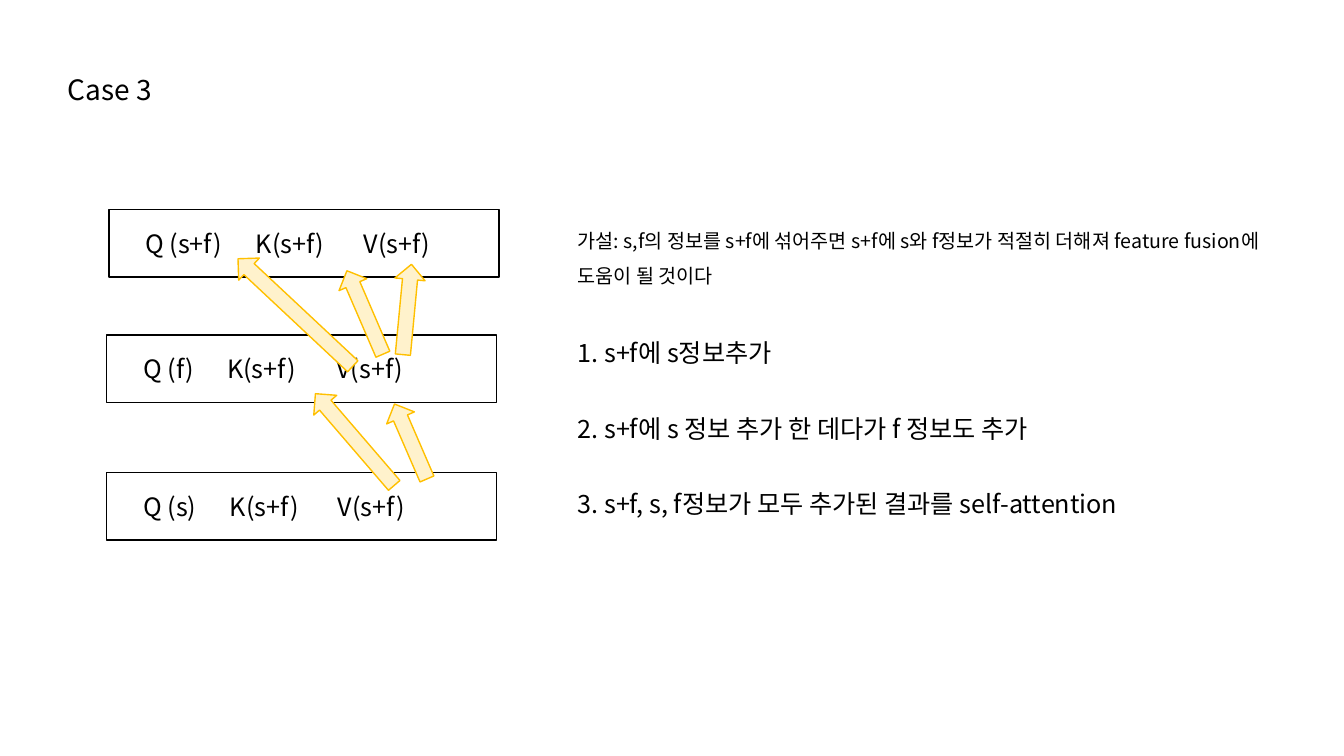
import math

import pptx
import pptx.dml.color
import pptx.enum.shapes
import pptx.enum.text
import pptx.oxml
import pptx.oxml.ns
import pptx.util

Pt = pptx.util.Pt
SHAPES = pptx.enum.shapes.MSO_SHAPE
LEFT = pptx.enum.text.PP_ALIGN.LEFT
ANCHORS = pptx.enum.text.MSO_ANCHOR

# Content
HEADING = "Case 3"
# Stages: terms, left, top, tab stops of the K and V terms
STAGES = [
    (("Q (s)", "K(s+f)", "V(s+f)"), 76.3, 337.7, (62, 139)),
    (("Q (f)", "K(s+f)", "V(s+f)"), 76.3, 239.2, (60, 138)),
    (("Q (s+f)", "K(s+f)", "V(s+f)"), 77.8, 149.8, (79, 156)),
]
# Flows between stages: tail point, tip point
FLOWS = [
    ((305, 342.1), (281.8, 288.6)),
    ((281.6, 346.7), (225.3, 281.2)),
    ((287.8, 253.3), (293.9, 188.8)),
    ((273.5, 253), (247.8, 193.4)),
    ((252, 261.6), (170, 184.8)),
]
# Explanation: text, size, line spacing, space before
EXPLANATION = [
    ("가설: s,f의 정보를 s+f에 섞어주면 s+f에 s와 f정보가 적절히 더해져 "
     "feature fusion에 도움이 될 것이다", 14, 1.5, 0),
    ("1. s+f에 s정보추가", 18, 1.5, 25),
    ("2. s+f에 s 정보 추가 한 데다가 f 정보도 추가", 18, 2.5, 0),
    ("3. s+f, s, f정보가 모두 추가된 결과를 self-attention", 18, 2.5, 0),
]

# Format
FONT = "Noto Sans CJK KR"
COLORS = {"ink": "000000", "arrow": "FFF2CC", "arrow_edge": "FFC000"}
STAGE_WIDTH, STAGE_HEIGHT, STAGE_INSET = 278.6, 48.2, 26
ARROW_HEIGHT = 21.6
FRAME_FORMAT = {"word_wrap": True, "auto_size": pptx.enum.text.MSO_AUTO_SIZE.NONE}


def color(name):
    return pptx.dml.color.RGBColor.from_string(COLORS[name])


def place(part, left, top, width, height):
    box = {"left": left, "top": top, "width": width, "height": height}
    for side, length in box.items():
        setattr(part, side, Pt(length))


def format_frame(frame, anchor):
    for name, value in {**FRAME_FORMAT, "vertical_anchor": anchor}.items():
        setattr(frame, name, value)


def write(paragraph, text, size, spacing=1.0, before=0):
    layout = {"alignment": LEFT, "line_spacing": spacing, "space_before": Pt(before),
              "space_after": Pt(0)}
    for name, value in layout.items():
        setattr(paragraph, name, value)
    run = paragraph.add_run()
    run.text = text
    for name, value in {"size": Pt(size), "name": FONT, "bold": False}.items():
        setattr(run.font, name, value)
    run.font.color.rgb = color("ink")
    east_asian = pptx.oxml.parse_xml(
        f'<a:ea {pptx.oxml.ns.nsdecls("a")} typeface="{FONT}"/>')
    run.font._element.find(pptx.oxml.ns.qn("a:latin")).addnext(east_asian)


def add_outline(kind, left, top, width, height, edge):
    outline = slide.shapes.add_shape(kind, Pt(left), Pt(top), Pt(width), Pt(height))
    outline.shadow.inherit = False
    outline.line.color.rgb = color(edge)
    outline.line.width = Pt(1)
    return outline


deck = pptx.Presentation()
deck.slide_width, deck.slide_height = Pt(960), Pt(540)
slide = deck.slides.add_slide(deck.slide_layouts[1])

# Heading
heading = slide.shapes.title
place(heading, 41, 48.2, 345, 31.7)
format_frame(heading.text_frame, ANCHORS.MIDDLE)
write(heading.text_frame.paragraphs[0], HEADING, 20)

# Explanation
explanation = slide.placeholders[1]
place(explanation, 405.4, 151.2, 536.4, 216)
format_frame(explanation.text_frame, ANCHORS.TOP)
for index, (text, size, spacing, before) in enumerate(EXPLANATION):
    frame = explanation.text_frame
    point = frame.add_paragraph() if index else frame.paragraphs[0]
    write(point, text, size, spacing, before)
    properties = point._p.get_or_add_pPr()
    properties.set("marL", "0")
    properties.set("indent", "0")
    properties.append(pptx.oxml.parse_xml(f'<a:buNone {pptx.oxml.ns.nsdecls("a")}/>'))

# Stages
for terms, left, top, stops in STAGES:
    stage = add_outline(SHAPES.RECTANGLE, left, top, STAGE_WIDTH, STAGE_HEIGHT, "ink")
    stage.fill.background()
    format_frame(stage.text_frame, ANCHORS.MIDDLE)
    stage.text_frame.margin_left = Pt(STAGE_INSET)
    line = stage.text_frame.paragraphs[0]
    write(line, "\t".join(terms), 18)
    tabs = "".join(f'<a:tab pos="{Pt(stop)}" algn="l"/>' for stop in stops)
    line._p.get_or_add_pPr().append(pptx.oxml.parse_xml(
        f'<a:tabLst {pptx.oxml.ns.nsdecls("a")}>{tabs}</a:tabLst>'))

# Flow arrows
for (tail_x, tail_y), (tip_x, tip_y) in FLOWS:
    run_x, run_y = tip_x - tail_x, tip_y - tail_y
    length = math.hypot(run_x, run_y)
    flow = add_outline(SHAPES.RIGHT_ARROW, (tail_x + tip_x - length) / 2,
                       (tail_y + tip_y - ARROW_HEIGHT) / 2, length, ARROW_HEIGHT,
                       "arrow_edge")
    flow.fill.solid()
    flow.fill.fore_color.rgb = color("arrow")
    flow.rotation = math.degrees(math.atan2(run_y, run_x)) % 360

deck.save("out.pptx")
